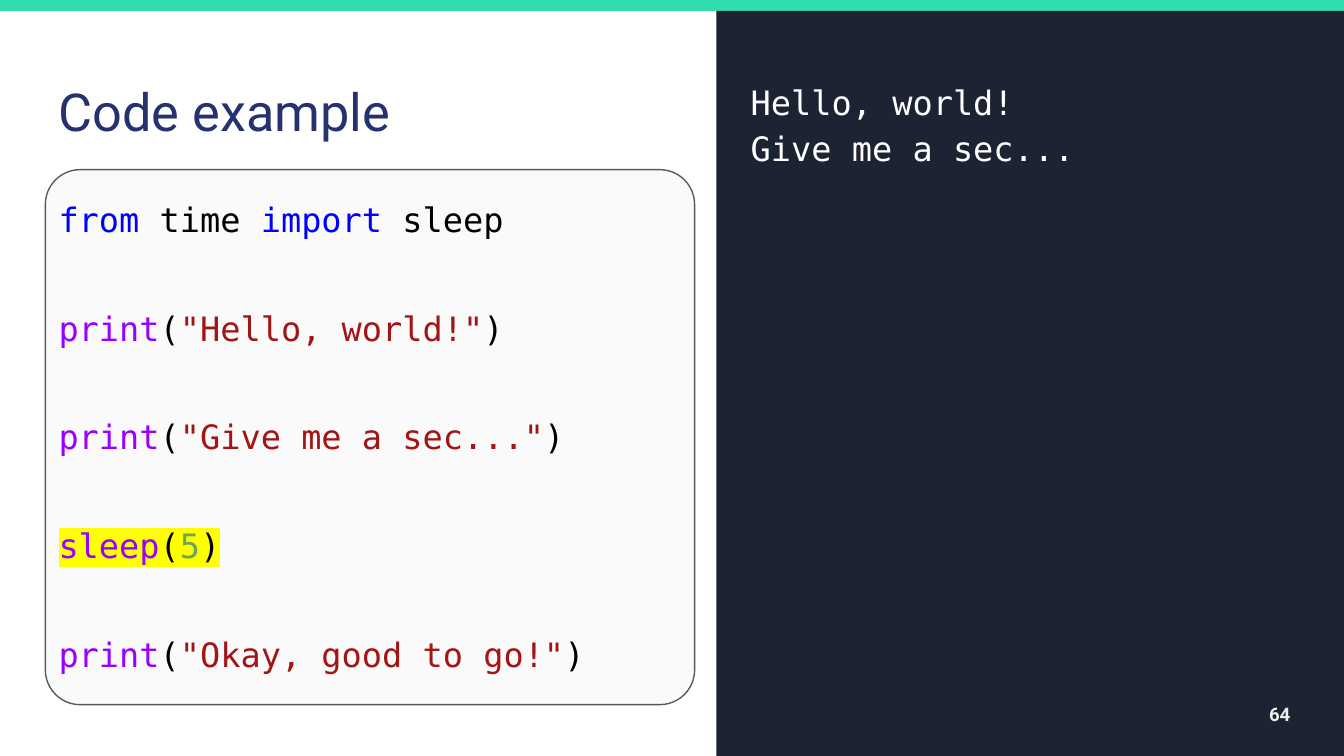
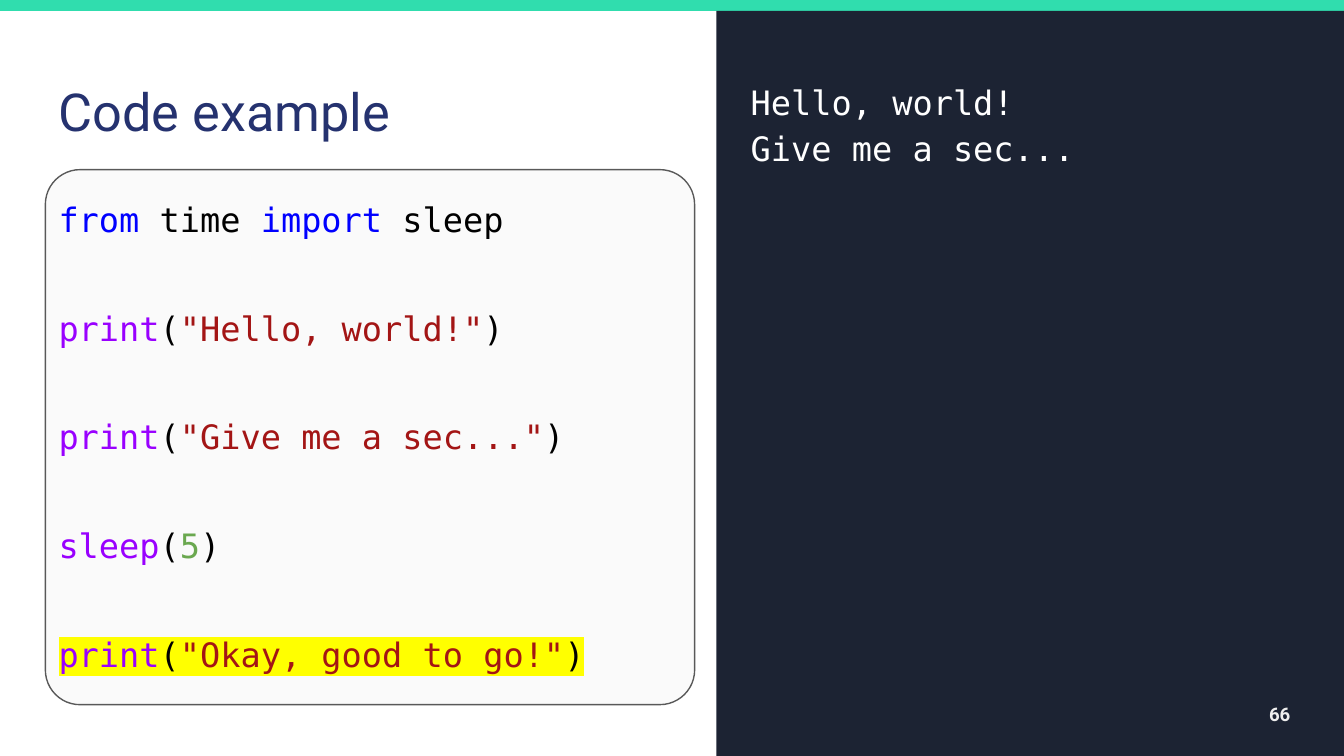
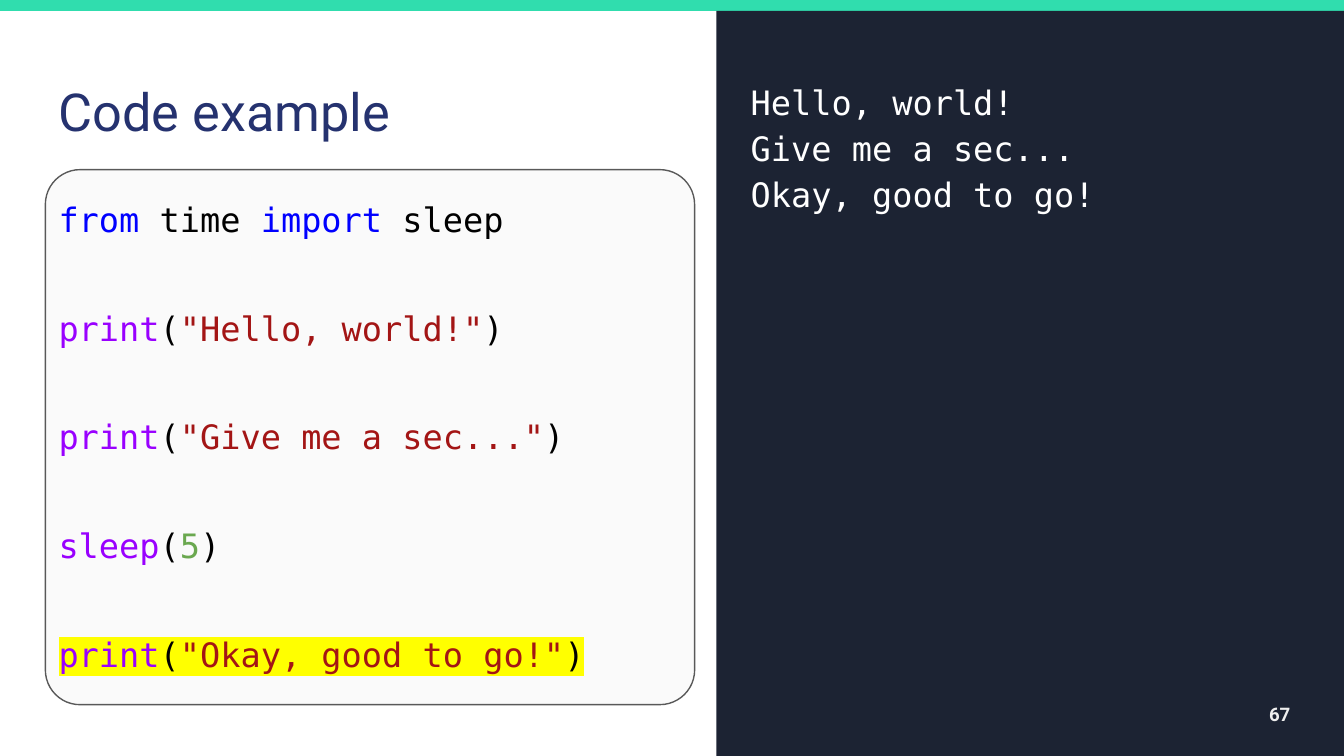
"""Build three code-walkthrough slides: the program on the left, its output on the right."""
import lxml.etree
import pptx
import pptx.dml.color
import pptx.enum.shapes
import pptx.enum.text
import pptx.oxml.ns
import pptx.util

PX = 5715
INSET = 16 * PX
OUTPUT_TOP_INSET = 58 * PX
MONO = "DejaVu Sans Mono"
SANS = "Roboto"

RGBColor = pptx.dml.color.RGBColor
GREEN = RGBColor(0x30, 0xDD, 0xAE)
NAVY = RGBColor(0x1C, 0x23, 0x33)
TITLE_BLUE = RGBColor(0x25, 0x32, 0x6F)
CARD_FILL = RGBColor(0xFA, 0xFA, 0xFA)
CARD_LINE = RGBColor(0x59, 0x59, 0x59)
PAGE_GREY = RGBColor(0xEE, 0xEE, 0xEE)
WHITE = RGBColor(0xFF, 0xFF, 0xFF)
PLAIN = RGBColor(0x00, 0x00, 0x00)
KEYWORD = RGBColor(0x00, 0x00, 0xFF)
FUNCTION = RGBColor(0x99, 0x00, 0xFF)
STRING = RGBColor(0xA3, 0x15, 0x15)
NUMBER = RGBColor(0x6A, 0xA8, 0x4F)
HIGHLIGHT = RGBColor(0xFF, 0xFF, 0x00)

MESSAGES = ["Hello, world!", "Give me a sec...", "Okay, good to go!"]
IMPORT_LINE = [("from", KEYWORD), (" time ", PLAIN), ("import", KEYWORD), (" sleep", PLAIN)]
SLEEP_LINE = [("sleep", FUNCTION), ("(", PLAIN), ("5", NUMBER), (")", PLAIN)]
hello_line, wait_line, done_line = [
    [("print", FUNCTION), ("(", PLAIN), (f'"{message}"', STRING), (")", PLAIN)]
    for message in MESSAGES
]
PROGRAM = [IMPORT_LINE, hello_line, wait_line, SLEEP_LINE, done_line]

STEPS = [
    ("64", SLEEP_LINE, MESSAGES[:2]),
    ("66", done_line, MESSAGES[:2]),
    ("67", done_line, MESSAGES),
]
BACKDROPS = [
    (pptx.enum.shapes.MSO_SHAPE.RECTANGLE, (-2, 0, 1604, 13), GREEN, None),
    (pptx.enum.shapes.MSO_SHAPE.RECTANGLE, (853, 13, 747, 889), NAVY, None),
    (pptx.enum.shapes.MSO_SHAPE.ROUNDED_RECTANGLE, (54, 202, 773, 637), CARD_FILL, CARD_LINE),
]


def prepare_text(shape, left, top, width, height):
    """Place a text shape and give its frame the shared insets."""
    shape.left, shape.top = left * PX, top * PX
    shape.width, shape.height = width * PX, height * PX
    frame = shape.text_frame
    frame.word_wrap = True
    frame.auto_size = pptx.enum.text.MSO_AUTO_SIZE.NONE
    frame.vertical_anchor = pptx.enum.text.MSO_ANCHOR.TOP
    frame.margin_left = frame.margin_right = INSET
    frame.margin_top = frame.margin_bottom = INSET
    return frame


def style_run(run, font_name, size, color, bold=False):
    """Set the face, size, colour and weight of one run."""
    run.font.name = font_name
    run.font.size = pptx.util.Pt(size)
    run.font.color.rgb = color
    run.font.bold = bold


deck = pptx.Presentation()
deck.slide_width, deck.slide_height = 1600 * PX, 900 * PX
title_only = deck.slide_layouts[5]

for page, current_line, printed in STEPS:
    slide = deck.slides.add_slide(title_only)

    for outline, box, fill, line in BACKDROPS:
        backdrop = slide.shapes.add_shape(outline, *[length * PX for length in box])
        backdrop.shadow.inherit = False
        backdrop.fill.solid()
        backdrop.fill.fore_color.rgb = fill
        if line is None:
            backdrop.line.fill.background()
        else:
            backdrop.line.color.rgb = line
            backdrop.line.width = pptx.util.Pt(0.75)
            backdrop.adjustments[0] = 0.065

    heading = prepare_text(slide.shapes.title, 54, 78, 1491, 101)
    heading.text = "Code example"
    heading.paragraphs[0].alignment = pptx.enum.text.PP_ALIGN.LEFT
    style_run(heading.paragraphs[0].runs[0], SANS, 28, TITLE_BLUE)

    code = prepare_text(slide.shapes.add_textbox(0, 0, 0, 0), 54, 203, 798, 634)
    for index, tokens in enumerate(PROGRAM):
        statement = code.paragraphs[0] if index == 0 else code.add_paragraph()
        statement.line_spacing = 1.36
        if index:
            statement.space_before = pptx.util.Pt(29)
        for token, color in tokens:
            run = statement.add_run()
            run.text = token
            style_run(run, MONO, 18, color)
            if tokens is current_line:
                marker = lxml.etree.Element(pptx.oxml.ns.qn("a:highlight"))
                swatch = lxml.etree.SubElement(marker, pptx.oxml.ns.qn("a:srgbClr"))
                swatch.set("val", str(HIGHLIGHT))
                run.font._element.find(pptx.oxml.ns.qn("a:solidFill")).addnext(marker)

    output = prepare_text(slide.shapes.add_textbox(0, 0, 0, 0), 878, 32, 712, 834)
    output.margin_top = OUTPUT_TOP_INSET
    output.text = "\n".join(printed)
    for message in output.paragraphs:
        message.line_spacing = 1.15
        style_run(message.runs[0], MONO, 18, WHITE)

    page_number = prepare_text(slide.shapes.add_textbox(0, 0, 0, 0), 1456, 816, 96, 69)
    page_number.vertical_anchor = pptx.enum.text.MSO_ANCHOR.MIDDLE
    page_number.text = page
    page_number.paragraphs[0].alignment = pptx.enum.text.PP_ALIGN.RIGHT
    style_run(page_number.paragraphs[0].runs[0], SANS, 10, PAGE_GREY, bold=True)

deck.save("out.pptx")
